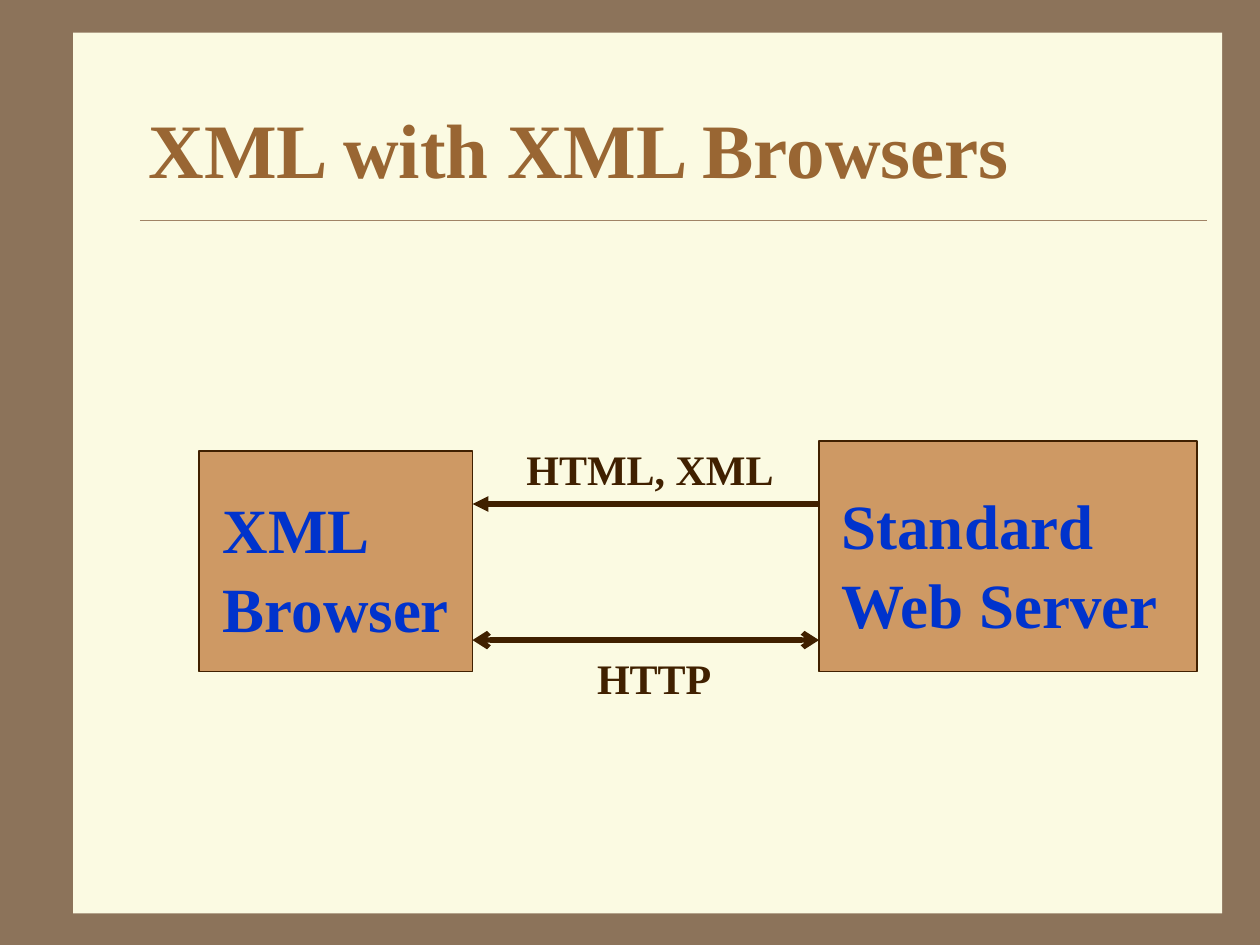
from dataclasses import dataclass

from lxml import etree
from pptx import Presentation
from pptx.dml.color import RGBColor
from pptx.enum.shapes import MSO_CONNECTOR, MSO_SHAPE
from pptx.enum.text import MSO_ANCHOR, MSO_AUTO_SIZE, PP_ALIGN
from pptx.oxml.ns import qn
from pptx.slide import Slide
from pptx.text.text import TextFrame
from pptx.util import Inches, Pt

RECTANGLE = MSO_SHAPE.RECTANGLE
STRAIGHT = MSO_CONNECTOR.STRAIGHT
TOP, MIDDLE = MSO_ANCHOR.TOP, MSO_ANCHOR.MIDDLE
NO_AUTOFIT = MSO_AUTO_SIZE.NONE
LEFT = PP_ALIGN.LEFT

FRAME_BROWN = RGBColor(0x8C, 0x73, 0x5A)
CREAM = RGBColor(0xFB, 0xFA, 0xE2)
RULE_TAN = RGBColor(0xA0, 0x83, 0x66)
TITLE_BROWN = RGBColor(0x99, 0x66, 0x33)
NODE_TAN = RGBColor(0xCE, 0x99, 0x64)
DARK_BROWN = RGBColor(0x40, 0x20, 0x00)
NODE_BLUE = RGBColor(0x00, 0x33, 0xCC)


@dataclass(frozen=True)
class Area:
    left: float
    top: float
    width: float
    height: float

    def lengths(self) -> list[int]:
        return [Inches(n) for n in (self.left, self.top, self.width, self.height)]


@dataclass(frozen=True)
class Label:
    text: str
    area: Area
    size: int
    color: RGBColor
    wrap: bool = True
    anchor: MSO_ANCHOR = TOP


@dataclass(frozen=True)
class Line:
    left: float
    right: float
    y: float
    color: RGBColor = DARK_BROWN
    width: float = 3
    head: str = ""
    tail: str = ""


PANEL = Area(0.58, 0.26, 9.12, 6.99)
RULE = Line(1.11, 9.58, 1.75, RULE_TAN, 0.25)
TITLE = Label("XML with XML Browsers", Area(1.08, 0.5, 8.5, 1.25), 44,
              TITLE_BROWN, anchor=MIDDLE)
NODES = [Area(1.58, 3.58, 2.17, 1.75), Area(6.5, 3.5, 3, 1.83)]
LABELS = [
    Label("XML Browser", Area(1.67, 3.78, 2.58, 1.3), 36, NODE_BLUE),
    Label("Standard Web Server", Area(6.58, 3.75, 3.08, 1.3), 36, NODE_BLUE),
    Label("HTTP", Area(4.64, 5.08, 1.11, 0.5), 24, DARK_BROWN, wrap=False),
    Label("HTML, XML", Area(4.08, 3.42, 2.16, 0.5), 24, DARK_BROWN, wrap=False),
]
ARROWS = [
    Line(3.75, 6.5, 4, head="triangle"),
    Line(3.75, 6.5, 5.08, head="arrow", tail="arrow"),
]


def set_values(target: object, values: dict[str, object]) -> None:
    for name, value in values.items():
        setattr(target, name, value)


def write_label(frame: TextFrame, label: Label) -> None:
    frame.text = label.text
    set_values(frame, {
        "auto_size": NO_AUTOFIT, "word_wrap": label.wrap,
        "vertical_anchor": label.anchor,
        "margin_left": Inches(0.1), "margin_right": Inches(0.1),
        "margin_top": Inches(0.08), "margin_bottom": Inches(0.02),
    })
    para = frame.paragraphs[0]
    set_values(para, {"alignment": LEFT, "line_spacing": 1.05})
    font = para.runs[0].font
    set_values(font, {"name": "Times New Roman", "size": Pt(label.size), "bold": True})
    font.color.rgb = label.color


def add_box(page: Slide, area: Area, fill: RGBColor, outlined: bool) -> None:
    box = page.shapes.add_shape(RECTANGLE, *area.lengths())
    box.shadow.inherit = False
    box.fill.solid()
    box.fill.fore_color.rgb = fill
    if outlined:
        box.line.color.rgb = DARK_BROWN
        box.line.width = Pt(0.75)
    else:
        box.line.fill.background()


def add_line(page: Slide, line: Line) -> None:
    y = Inches(line.y)
    connector = page.shapes.add_connector(
        STRAIGHT, Inches(line.left), y, Inches(line.right), y)
    connector.line.color.rgb = line.color
    connector.line.width = Pt(line.width)
    properties = connector.element.spPr
    outline = properties.find(qn("a:ln"))
    for tag, kind in (("a:headEnd", line.head), ("a:tailEnd", line.tail)):
        if kind:
            etree.SubElement(outline, qn(tag), type=kind)
    etree.SubElement(properties, qn("a:effectLst"))


def add_title(page: Slide, label: Label) -> None:
    title = page.shapes.title
    title.element.getparent().append(title.element)
    set_values(title, dict(zip(("left", "top", "width", "height"), label.area.lengths())))
    write_label(title.text_frame, label)


def add_label(page: Slide, label: Label) -> None:
    box = page.shapes.add_textbox(*label.area.lengths())
    write_label(box.text_frame, label)


def main() -> None:
    deck = Presentation()
    set_values(deck, {"slide_width": Inches(10), "slide_height": Inches(7.5)})
    page = deck.slides.add_slide(deck.slide_layouts[5])
    page.background.fill.solid()
    page.background.fill.fore_color.rgb = FRAME_BROWN

    add_box(page, PANEL, CREAM, outlined=False)
    add_line(page, RULE)
    add_title(page, TITLE)
    for node in NODES:
        add_box(page, node, NODE_TAN, outlined=True)
    for label in LABELS:
        add_label(page, label)
    for arrow in ARROWS:
        add_line(page, arrow)
    deck.save("out.pptx")


if __name__ == "__main__":
    main()
